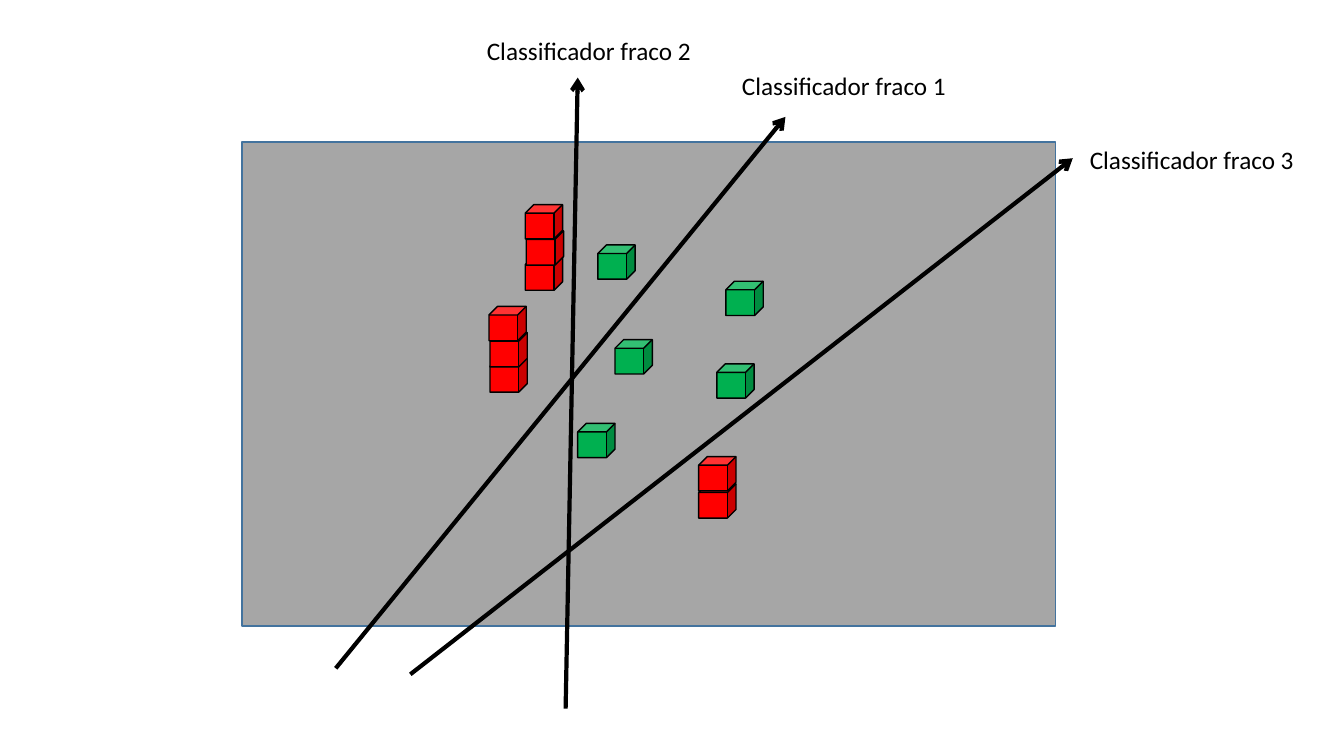
import pptx
import pptx.util
import pptx.dml.color
import pptx.enum.shapes
import pptx.enum.text
import pptx.oxml.ns
import lxml.etree

GRAY = pptx.dml.color.RGBColor(0xA6, 0xA6, 0xA6)
BLUE = pptx.dml.color.RGBColor(0x43, 0x73, 0x9E)
RED = pptx.dml.color.RGBColor(0xFF, 0x00, 0x00)
GREEN = pptx.dml.color.RGBColor(0x00, 0xB0, 0x50)
BLACK = pptx.dml.color.RGBColor(0x00, 0x00, 0x00)

COLUMNS, ROWS = 133.3, 75
CELL = pptx.util.Inches(0.1)
CUBE_SIZE = (3.7, 3.4)
LABEL_SIZE = (22.5, 4)

RED_SAMPLES = [
    (52.1, 25.4), (52.2, 22.9), (52.1, 20.3),
    (48.6, 35.5), (48.6, 33), (48.5, 30.4),
    (69.3, 48), (69.3, 45.3),
]
GREEN_SAMPLES = [(72, 27.9), (57.3, 42), (71.1, 36.1), (59.3, 24.3), (61, 33.7)]
CLASSIFIERS = [
    ("Classificador fraco 3", (40.7, 66.9), (106.4, 15.7), (107.1, 13.8)),
    ("Classificador fraco 1", (33.3, 66.3), (77.9, 11.6), (72.6, 6.5)),
    ("Classificador fraco 2", (56.1, 70.3), (57.3, 7.7), (47.3, 3)),
]


def cells(*counts):
    return [round(count * CELL) for count in counts]


def add_solid(slide, preset, position, size, fill, outline):
    solid = slide.shapes.add_shape(preset, *cells(*position, *size))
    solid.shadow.inherit = False
    solid.fill.solid()
    solid.fill.fore_color.rgb = fill
    solid.line.color.rgb = outline
    solid.line.width = pptx.util.Pt(1)


def add_samples(slide, positions, color):
    for position in positions:
        add_solid(slide, pptx.enum.shapes.MSO_SHAPE.CUBE, position, CUBE_SIZE, color, BLACK)


def add_boundary(slide, start, end):
    boundary = slide.shapes.add_connector(
        pptx.enum.shapes.MSO_CONNECTOR.STRAIGHT, *cells(*start, *end))
    boundary.line.color.rgb = BLACK
    boundary.line.width = pptx.util.Pt(3)
    outline = boundary.line._get_or_add_ln()
    lxml.etree.SubElement(outline, pptx.oxml.ns.qn("a:tailEnd"), type="arrow")
    lxml.etree.SubElement(boundary._element.spPr, pptx.oxml.ns.qn("a:effectLst"))


def add_label(slide, text, position):
    label = slide.shapes.add_textbox(*cells(*position, *LABEL_SIZE))
    frame = label.text_frame
    frame.text = text
    frame.word_wrap = False
    frame.auto_size = pptx.enum.text.MSO_AUTO_SIZE.SHAPE_TO_FIT_TEXT
    font = frame.paragraphs[0].runs[0].font
    font.name = "Calibri"
    font.size = pptx.util.Pt(18)
    font.color.rgb = BLACK


def main():
    presentation = pptx.Presentation()
    presentation.slide_width, presentation.slide_height = cells(COLUMNS, ROWS)
    slide = presentation.slides.add_slide(presentation.slide_layouts[6])
    add_solid(slide, pptx.enum.shapes.MSO_SHAPE.RECTANGLE, (24, 14.1), (80.7, 48), GRAY, BLUE)
    add_samples(slide, RED_SAMPLES, RED)
    add_samples(slide, GREEN_SAMPLES, GREEN)
    for name, start, end, label_position in CLASSIFIERS:
        add_boundary(slide, start, end)
        add_label(slide, name, label_position)
    presentation.save("out.pptx")


if __name__ == "__main__":
    main()
